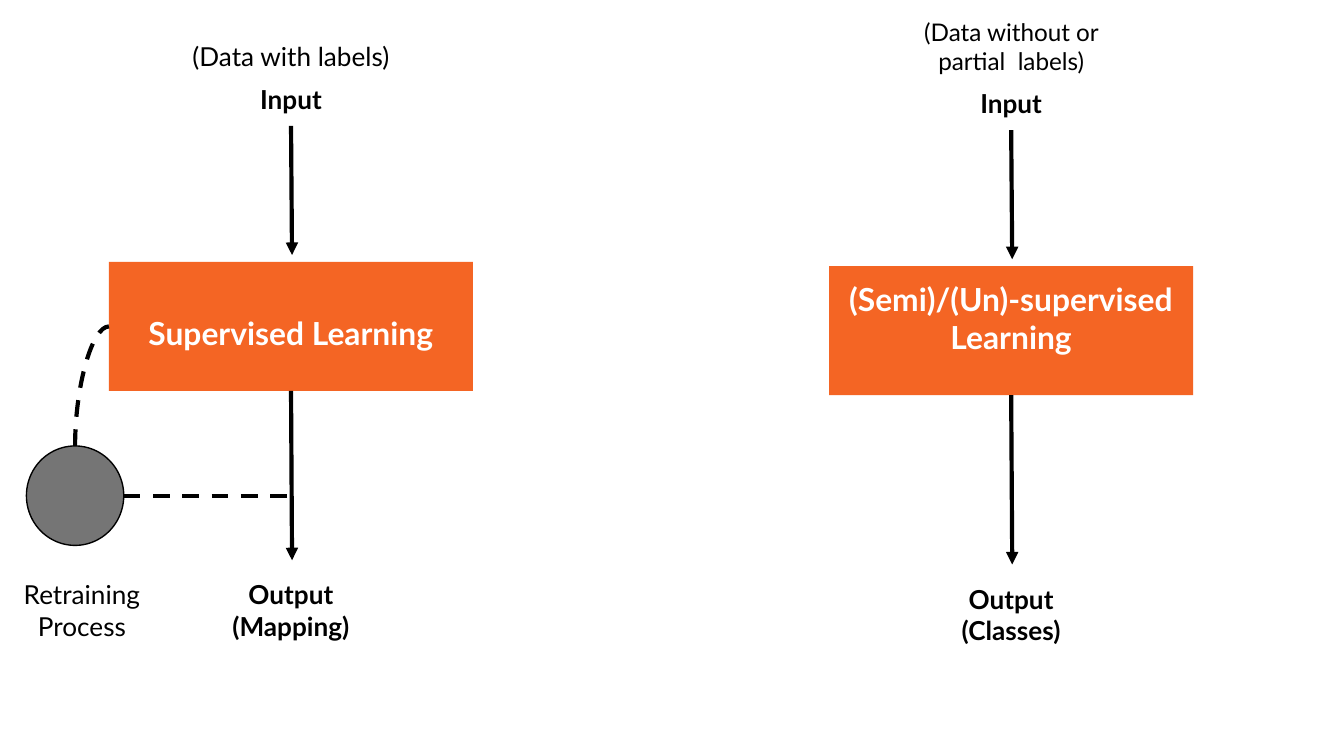
from dataclasses import dataclass
from lxml.etree import SubElement
from pptx import Presentation
from pptx.dml.color import RGBColor
from pptx.enum.dml import MSO_LINE
from pptx.enum.shapes import MSO_CONNECTOR, MSO_SHAPE
from pptx.enum.text import MSO_ANCHOR, PP_ALIGN
from pptx.oxml.ns import qn
from pptx.shapes.autoshape import Shape
from pptx.shapes.connector import Connector
from pptx.slide import Slide
from pptx.util import Cm, Pt


@dataclass(frozen=True)
class Theme:
    """Colours, font and sizes of the slide."""
    font: str = "Lato"
    ink: RGBColor = RGBColor(0x00, 0x00, 0x00)
    paper: RGBColor = RGBColor(0xFF, 0xFF, 0xFF)
    accent: RGBColor = RGBColor(0xF4, 0x65, 0x24)
    grey: RGBColor = RGBColor(0x75, 0x75, 0x75)
    label: float = 14
    small: float = 13
    heading: float = 17
    line: float = 2.25
    outline: float = 0.75
    inset: float = 0.25


@dataclass(frozen=True)
class Flow:
    """One learning flow; lengths are in centimetres."""
    center: float
    box_top: float
    data: str
    data_top: float
    data_size: float
    method: str
    method_inset: float
    output: str
    output_width: float


THEME = Theme()
BOX_W, BOX_H = 6.88, 2.44
FLOWS = [
    Flow(5.5, 4.95, "(Data with labels)", 0.51, THEME.label,
         "Supervised Learning", 0.98, "Output\n(Mapping)", 3.43),
    Flow(19.11, 5.03, "(Data without or partial  labels)", 0.08, THEME.small,
         "(Semi)/(Un)-supervised Learning", THEME.inset, "Output\n(Classes)", 2.51),
]


def write(s: Shape, text: str, size: float, color: RGBColor, bold: bool,
          top: float = THEME.inset) -> None:
    """Fill a shape with centred text that starts at its top."""
    tf = s.text_frame
    tf.text = text
    tf.word_wrap = True
    tf.vertical_anchor = MSO_ANCHOR.TOP
    tf.margin_left = tf.margin_right = tf.margin_bottom = Cm(THEME.inset)
    tf.margin_top = Cm(top)
    for p in tf.paragraphs:
        p.alignment = PP_ALIGN.CENTER
        for r in p.runs:
            r.font.name, r.font.size, r.font.bold = THEME.font, Pt(size), bold
            r.font.color.rgb = color


def add_label(slide: Slide, text: str, center: float, top: float, width: float,
              height: float, size: float = THEME.label, bold: bool = False) -> None:
    """Add a text box centred on a vertical axis."""
    s = slide.shapes.add_textbox(Cm(center - width / 2), Cm(top), Cm(width), Cm(height))
    write(s, text, size, THEME.ink, bold)


def add_solid(slide: Slide, kind: MSO_SHAPE, x: float, y: float, w: float, h: float,
              color: RGBColor) -> Shape:
    """Add a filled shape without outline or shadow."""
    s = slide.shapes.add_shape(kind, Cm(x), Cm(y), Cm(w), Cm(h))
    s.shadow.inherit = False
    s.fill.solid()
    s.fill.fore_color.rgb = color
    s.line.fill.background()
    return s


def add_line(slide: Slide, kind: MSO_CONNECTOR, x1: float, y1: float,
             x2: float, y2: float) -> Connector:
    """Add a flat connector in the ink colour."""
    c = slide.shapes.add_connector(kind, Cm(x1), Cm(y1), Cm(x2), Cm(y2))
    c.line.color.rgb = THEME.ink
    c.line.width = Pt(THEME.line)
    SubElement(c.element.spPr, qn("a:effectLst"))
    return c


def add_arrow(slide: Slide, x: float, y1: float, y2: float) -> Connector:
    """Add a downward arrow."""
    c = add_line(slide, MSO_CONNECTOR.STRAIGHT, x, y1, x + 0.02, y2)
    SubElement(c.line._get_or_add_ln(), qn("a:tailEnd"), type="triangle")
    return c


def add_flow(slide: Slide, f: Flow) -> None:
    """Draw input, method and output from top to bottom."""
    add_label(slide, f.data, f.center, f.data_top, 4.8, 1.5, f.data_size)
    add_label(slide, "Input", f.center, f.box_top - 3.63, 2.11, 0.94, bold=True)
    add_arrow(slide, f.center, f.box_top - 2.57, f.box_top - 0.13)
    box = add_solid(slide, MSO_SHAPE.RECTANGLE, f.center - BOX_W / 2, f.box_top,
                    BOX_W, BOX_H, THEME.accent)
    write(box, f.method, THEME.heading, THEME.paper, True, f.method_inset)
    c = add_arrow(slide, f.center, f.box_top + BOX_H, f.box_top + 5.64)
    c.begin_connect(box, 2)
    add_label(slide, f.output, f.center, f.box_top + 5.74, f.output_width, 1.5, bold=True)


def add_retraining(slide: Slide, f: Flow) -> None:
    """Draw the dashed loop from the output back to the method."""
    x, y, w, h = 0.5, 8.43, 1.84, 1.88
    s = add_solid(slide, MSO_SHAPE.OVAL, x, y, w, h, THEME.grey)
    s.line.color.rgb = THEME.ink
    s.line.width = Pt(THEME.outline)
    add_label(slide, "Retraining Process", 1.55, 10.69, 3.1, 1.5)

    start, end = x + w / 2, f.center - BOX_W / 2
    middle = f.box_top + BOX_H / 2
    rise, run = y - middle, end - start
    cx, cy = (start + end) / 2, (y + middle) / 2
    curve = add_line(slide, MSO_CONNECTOR.CURVE, cx - rise / 2, cy - run / 2,
                     cx + rise / 2, cy + run / 2)
    curve.element.spPr.find(qn("a:prstGeom")).set("prst", "curvedConnector2")
    curve.element.spPr.find(qn("a:xfrm")).set("rot", str(270 * 60000))
    level = y + h / 2
    link = add_line(slide, MSO_CONNECTOR.ELBOW, x + w, level, f.center + 0.1, level)
    for c in (curve, link):
        c.line.dash_style = MSO_LINE.DASH


def main() -> None:
    """Build and save the slide."""
    prs = Presentation()
    prs.slide_width, prs.slide_height = Cm(25.4), Cm(14.29)
    slide = prs.slides.add_slide(prs.slide_layouts[6])
    for f in FLOWS:
        add_flow(slide, f)
    add_retraining(slide, FLOWS[0])
    prs.save("out.pptx")


if __name__ == "__main__":
    main()
